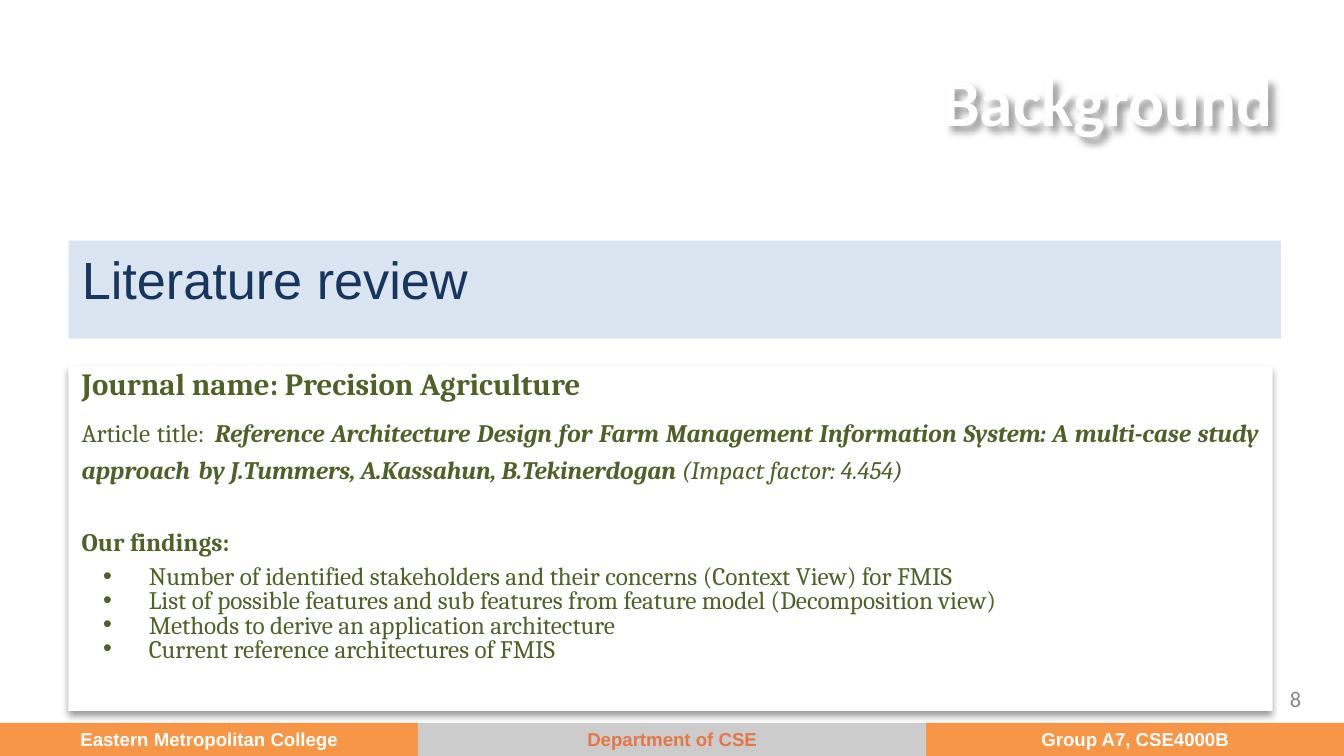
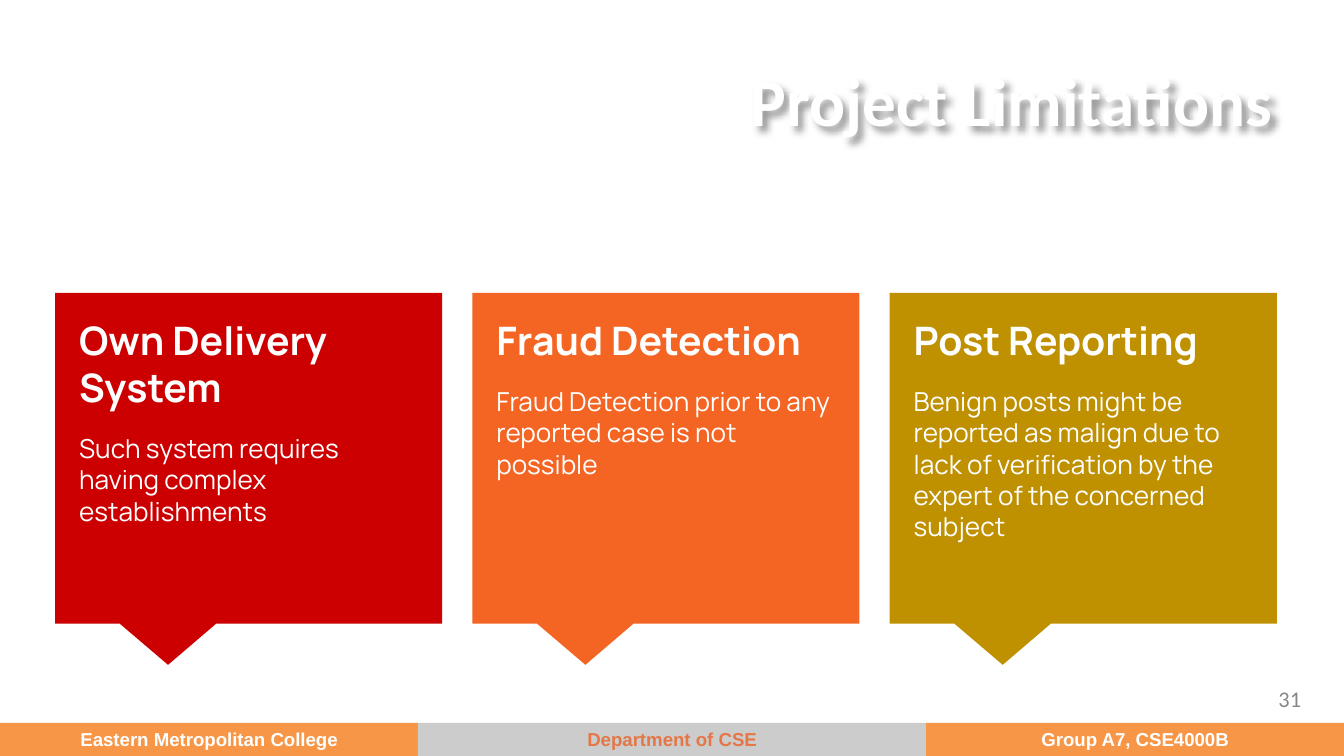
from collections import namedtuple

from lxml.etree import SubElement
from pptx import Presentation
from pptx.dml.color import RGBColor
from pptx.enum.shapes import MSO_SHAPE as Preset
from pptx.enum.text import MSO_ANCHOR as Anchor, MSO_AUTO_SIZE as AutoSize, PP_ALIGN as Align
from pptx.oxml.ns import qn
from pptx.util import Emu, Inches, Pt

# Lengths are cells of a grid with 100 columns across the slide.
COLUMNS, ROWS = 100, 56.25
CELL = Inches(10) // COLUMNS

WHITE, ORANGE, GREY, RUST = "FFFFFF", "F79646", "CCCCCC", "E57746"
OLIVE, NAVY, PALE_BLUE, NUMBER_GREY = "4F6128", "17365D", "DAE5F1", "888888"

TITLE = dict(name="Calibri", size=Pt(36), bold=True, color=WHITE)
NUMBER = dict(name="Calibri", size=Pt(12), color=NUMBER_GREY)
FOOTER = dict(name="Arial", size=Pt(10), bold=True, color=WHITE)
SECTION = dict(name="Arial", size=Pt(28), color=NAVY)
BODY = dict(name="Cambria", size=Pt(13.5), color=OLIVE)
STRONG = dict(BODY, bold=True)
JOURNAL = dict(STRONG, size=Pt(16.5))
CITATION = dict(STRONG, italic=True)
WIDE_SPACE = dict(name="Calibri", size=Pt(20.9), color=OLIVE)
CARD_HEAD = dict(name="Manrope", size=Pt(21), bold=True, color=WHITE)
CARD_BODY = dict(CARD_HEAD, size=Pt(14), bold=False)

BANDS = [
    ("Eastern Metropolitan College", 31.1, ORANGE, WHITE),
    ("Department of CSE", 37.8, GREY, RUST),
    ("Group A7, CSE4000B", 31.1, ORANGE, WHITE),
]
FINDINGS = [
    "Number of identified stakeholders and their concerns (Context View) for FMIS",
    "List of possible features and sub features from feature model (Decomposition view)",
    "Methods to derive an application architecture",
    "Current reference architectures of FMIS",
]
CARDS = [
    ("Own Delivery System", "Such system requires having complex establishments", "CC0000"),
    ("Fraud Detection", "Fraud Detection prior to any reported case is not possible", "F46524"),
    ("Post Reporting", "Benign posts might be reported as malign due to lack of verification "
     "by the expert of the concerned subject", "BF9000"),
]


class Box(namedtuple("Box", "left top width height")):
    def inside(self, left, top, width, height):
        return Box(self.left + left, self.top + top, width, height)

    def lengths(self):
        return [Emu(round(value * CELL)) for value in self]


PAGE = Box(0, 0, COLUMNS, ROWS)


def rgb(color):
    return RGBColor.from_string(color)


def apply(target, values):
    for name, value in values.items():
        setattr(target, name, value)


def set_frame(shape, anchor=Anchor.TOP, side=0.1, end=0.05):
    frame = shape.text_frame
    apply(frame, dict(
        word_wrap=True, auto_size=AutoSize.NONE, vertical_anchor=anchor,
        margin_left=Inches(side), margin_right=Inches(side),
        margin_top=Inches(end), margin_bottom=Inches(end)))
    return frame


def write(frame, runs, first=False, **paragraph_format):
    """Fill one paragraph from (text, font format) pairs and return it."""
    paragraph = frame.paragraphs[0] if first else frame.add_paragraph()
    apply(paragraph, paragraph_format)
    for text, font_format in runs:
        run = paragraph.add_run()
        run.text = text
        values = dict(font_format)
        run.font.color.rgb = rgb(values.pop("color"))
        apply(run.font, values)
    return paragraph


def add_panel(slide, box, fill, preset=Preset.RECTANGLE):
    shape = slide.shapes.add_shape(preset, *box.lengths())
    shape.shadow.inherit = False
    shape.fill.solid()
    shape.fill.fore_color.rgb = rgb(fill)
    shape.line.fill.background()
    return shape


def add_shadow(shape, direction):
    """Cast a soft shadow towards a direction in degrees."""
    shape.shadow.inherit = False
    effects = shape._element.spPr.find(qn("a:effectLst"))
    shadow = SubElement(effects, qn("a:outerShdw"), blurRad=str(Pt(4)), dist=str(Pt(3)),
                        dir=str(direction * 60000), algn="tl", rotWithShape="0")
    color = SubElement(shadow, qn("a:srgbClr"), val="000000")
    SubElement(color, qn("a:alpha"), val="40000")


def add_bullet(paragraph):
    properties = paragraph._p.get_or_add_pPr()
    properties.set("marL", str(Inches(0.5)))
    properties.set("indent", str(-Inches(0.34)))
    color = SubElement(properties, qn("a:buClr"))
    SubElement(color, qn("a:srgbClr"), val=OLIVE)
    SubElement(properties, qn("a:buFont"), typeface="Arial")
    SubElement(properties, qn("a:buChar"), char="•")


def add_footer(slide, box):
    left = 0
    for text, width, fill, color in BANDS:
        band = add_panel(slide, box.inside(left, 0, width, box.height), fill)
        frame = set_frame(band, Anchor.MIDDLE, end=0)
        write(frame, [(text, dict(FOOTER, color=color))], first=True, alignment=Align.CENTER)
        left += width


def add_title(slide, box, text):
    title = slide.shapes.title
    apply(title, dict(zip(("left", "top", "width", "height"), box.lengths())))
    write(set_frame(title, Anchor.MIDDLE), [(text, TITLE)], first=True, alignment=Align.RIGHT)
    add_shadow(title, 45)


def add_number(slide, box, number):
    frame = set_frame(slide.shapes.add_textbox(*box.lengths()), Anchor.MIDDLE)
    write(frame, [(str(number), NUMBER)], first=True, alignment=Align.RIGHT)


def add_slide(presentation, title, number):
    """Add a slide with the shared footer, title and number."""
    slide = presentation.slides.add_slide(presentation.slide_layouts[5])
    add_footer(slide, PAGE.inside(0, 53.8, COLUMNS, 2.45))
    add_title(slide, PAGE.inside(5.4, 3.3, 90.3, 8.3), title)
    add_number(slide, PAGE.inside(74.5, 50.5, 23.3, 3), number)
    return slide


def add_review(slide, box):
    panel = add_panel(slide, box, WHITE)
    add_shadow(panel, 90)
    frame = set_frame(panel)
    layout = dict(alignment=Align.JUSTIFY, line_spacing=0.8, space_before=Pt(5.6))
    write(frame, [("Journal name: Precision Agriculture", JOURNAL)], first=True, **layout)
    write(frame, [
        ("Article title:", BODY),
        (" ", WIDE_SPACE),
        ("Reference Architecture Design for Farm Management Information System: "
         "A multi-case study approach", CITATION),
        (" ", WIDE_SPACE),
        ("by J.Tummers, A.Kassahun, B.Tekinerdogan ", CITATION),
        ("(Impact factor: 4.454)", dict(CITATION, bold=False)),
    ], **layout)
    write(frame, [("Our findings:", STRONG)], **dict(layout, space_before=Pt(24)))
    for index, finding in enumerate(FINDINGS):
        gap = Pt(0) if index else Pt(5.6)
        add_bullet(write(frame, [(finding, BODY)], **dict(layout, space_before=gap)))


def add_section_heading(slide, box, text):
    frame = set_frame(add_panel(slide, box, PALE_BLUE))
    write(frame, [(text, SECTION)], first=True,
          alignment=Align.JUSTIFY, space_before=Pt(5.6))


def add_card(slide, box, heading, text, fill):
    callout = add_panel(slide, box, fill, Preset.RECTANGULAR_CALLOUT)
    callout.adjustments[0], callout.adjustments[1] = -0.208, 0.625
    text_box = box.inside(0.8, 0.7, box.width - 1.7, box.height - 2.7)
    frame = set_frame(slide.shapes.add_textbox(*text_box.lengths()), end=0.1)
    write(frame, [(heading, CARD_HEAD)], first=True, alignment=Align.LEFT)
    write(frame, [(text, CARD_BODY)], alignment=Align.LEFT,
          space_before=Pt(12), space_after=Pt(12))


def add_cards(slide, box, gap):
    width = (box.width - gap * (len(CARDS) - 1)) / len(CARDS)
    for index, card in enumerate(CARDS):
        add_card(slide, box.inside(index * (width + gap), 0, width, box.height), *card)


def main():
    presentation = Presentation()
    presentation.slide_width = CELL * COLUMNS
    presentation.slide_height = Emu(round(CELL * ROWS))

    background = add_slide(presentation, "Background", 8)
    add_review(background, PAGE.inside(5.1, 27.2, 89.6, 25.7))
    add_section_heading(background, PAGE.inside(5.1, 17.9, 90.2, 7.3), "Literature review")

    limitations = add_slide(presentation, "Project Limitations", 31)
    add_cards(limitations, PAGE.inside(4.1, 21.8, 90.9, 24.6), gap=2.25)

    presentation.save("out.pptx")


if __name__ == "__main__":
    main()
